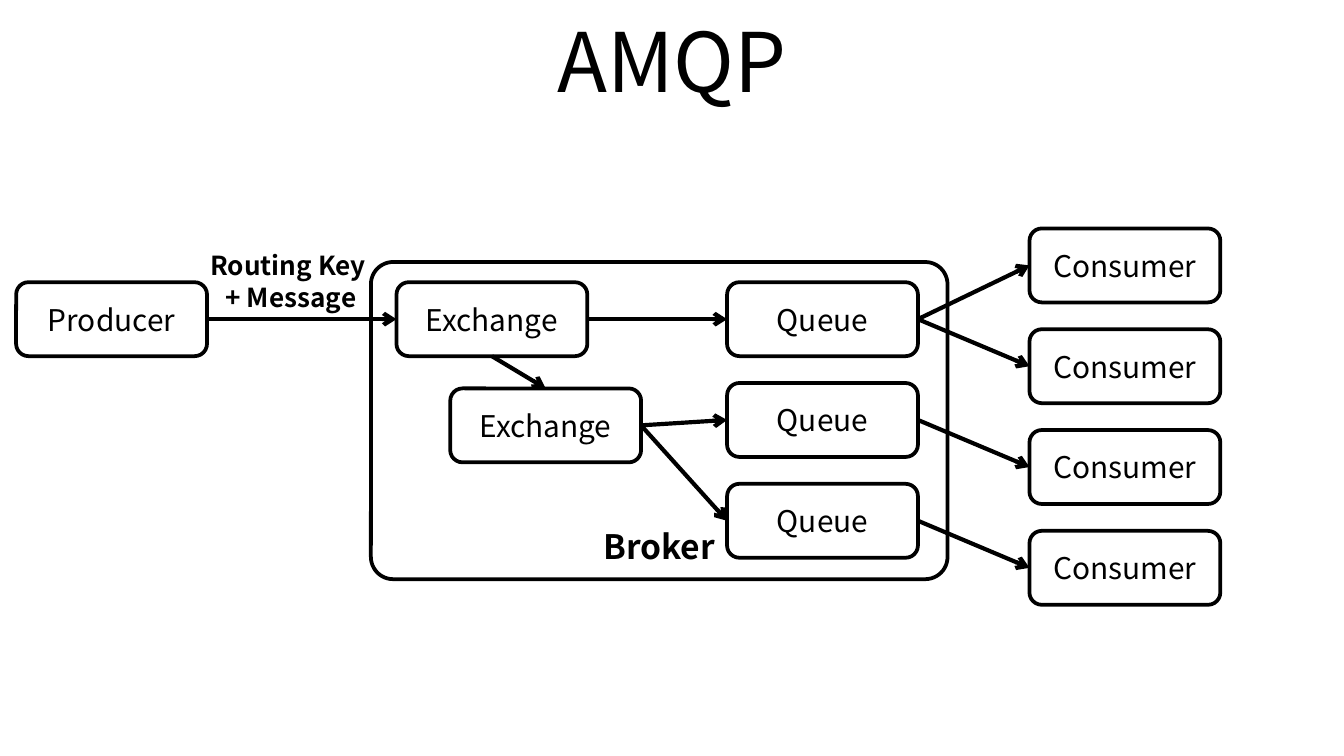
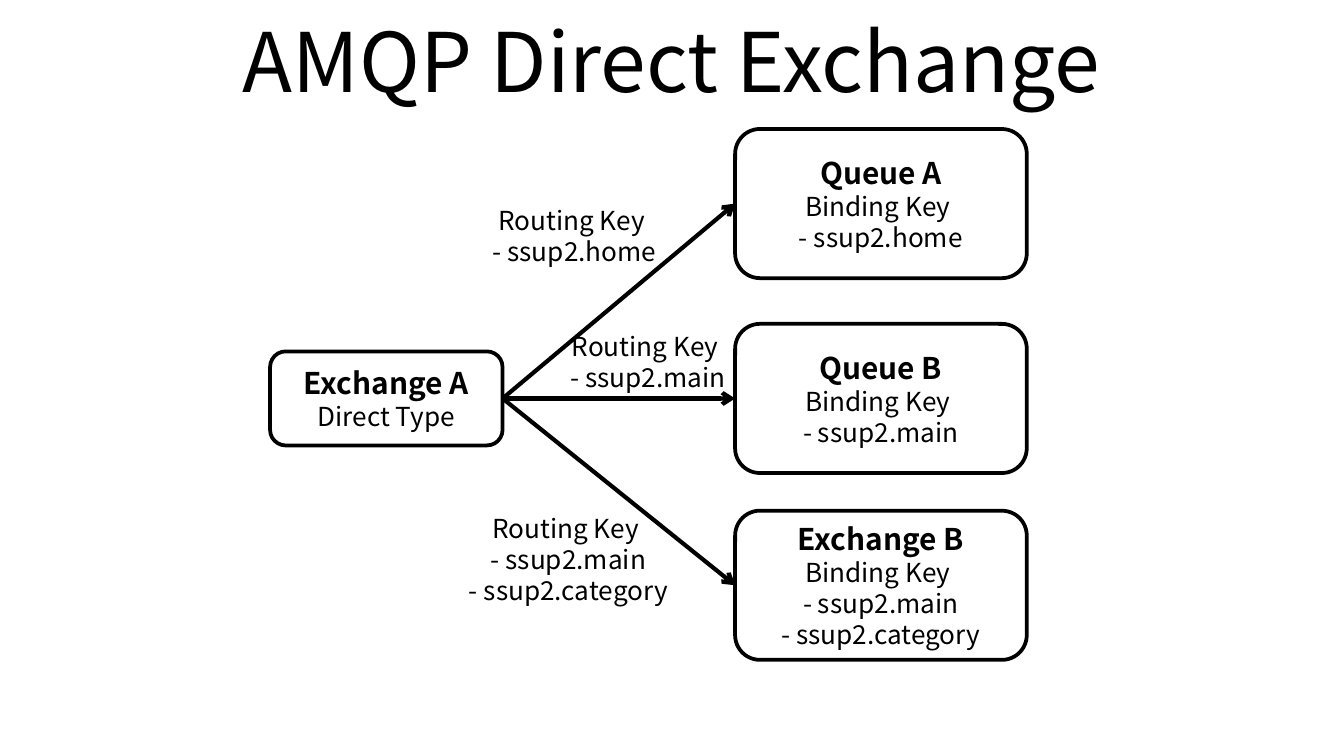
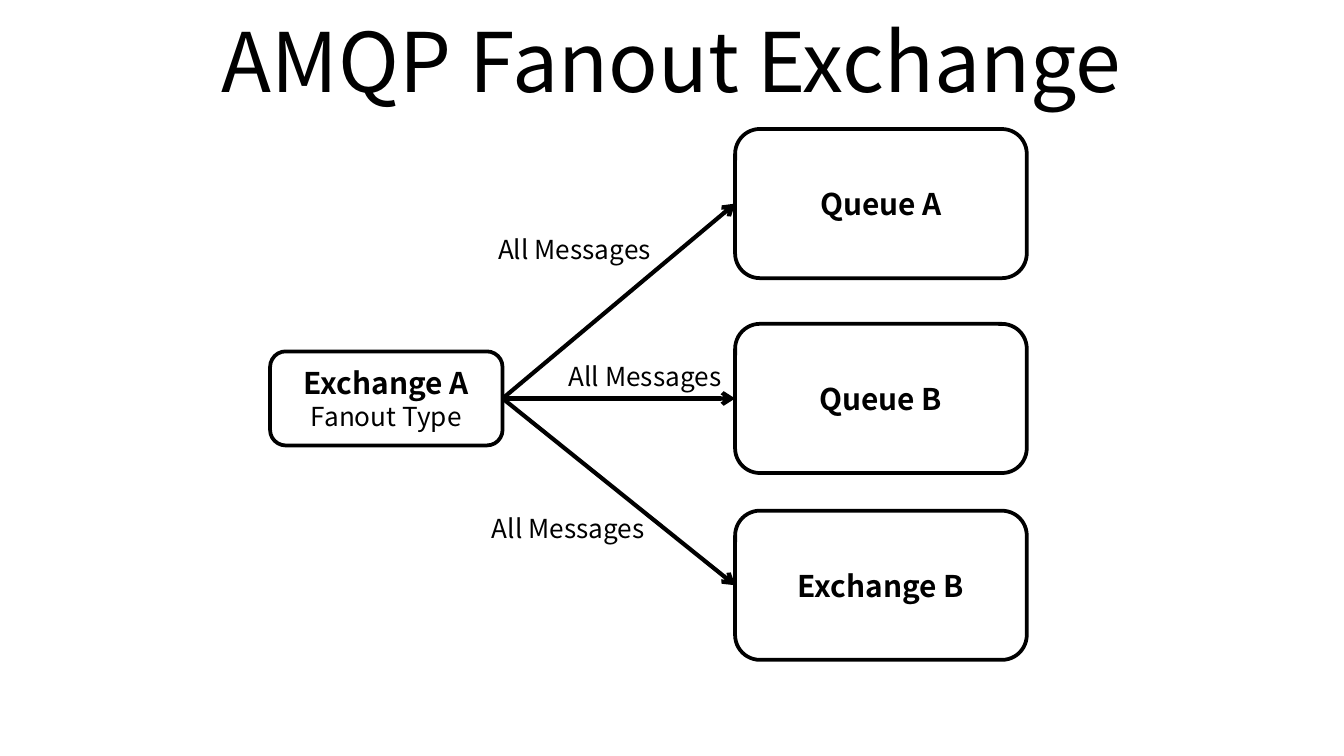
from lxml.etree import SubElement
from pptx import Presentation
from pptx.dml.color import RGBColor
from pptx.enum.shapes import MSO_CONNECTOR, MSO_SHAPE
from pptx.enum.text import MSO_ANCHOR, PP_ALIGN
from pptx.oxml.ns import qn
from pptx.util import Inches, Pt

FONT = "Noto Sans CJK KR"
BLACK = "000000"
WHITE = "FFFFFF"
TOP, LEFT, BOTTOM, RIGHT = range(4)  # connection sites of a rounded rectangle


def add_text(slide, position, lines, boxed=False, anchor=MSO_ANCHOR.MIDDLE, wrap=True):
    """Add centred (text, size, bold) lines, in a rounded box if boxed."""
    lengths = [Inches(value) for value in position]
    if boxed:
        shape = slide.shapes.add_shape(MSO_SHAPE.ROUNDED_RECTANGLE, *lengths)
        shape.shadow.inherit = False
        shape.fill.solid()
        shape.fill.fore_color.rgb = RGBColor.from_string(WHITE)
        shape.line.color.rgb = RGBColor.from_string(BLACK)
        shape.line.width = Pt(2)
    else:
        shape = slide.shapes.add_textbox(*lengths)
    frame = shape.text_frame
    frame.word_wrap = wrap
    frame.vertical_anchor = anchor
    for index, (text, size, bold) in enumerate(lines):
        paragraph = frame.add_paragraph() if index else frame.paragraphs[0]
        paragraph.alignment = PP_ALIGN.CENTER
        run = paragraph.add_run()
        run.text = text
        run.font.name = FONT
        run.font.size = Pt(size)
        run.font.bold = bold
        run.font.color.rgb = RGBColor.from_string(BLACK)
    return shape


def add_arrow(slide, source, target, source_site=RIGHT, target_site=LEFT):
    connector = slide.shapes.add_connector(MSO_CONNECTOR.STRAIGHT, 0, 0, 0, 0)
    connector.begin_connect(source, source_site)
    connector.end_connect(target, target_site)
    connector.line.color.rgb = RGBColor.from_string(BLACK)
    connector.line.width = Pt(2.25)
    SubElement(connector.line._get_or_add_ln(), qn("a:tailEnd")).set("type", "arrow")
    SubElement(connector._element.spPr, qn("a:effectLst"))


presentation = Presentation()
presentation.slide_width = Inches(10)
presentation.slide_height = presentation.slide_width * 9 // 16

slides = []
for title in ["AMQP", "AMQP Direct Exchange", "AMQP Fanout Exchange"]:
    slide = presentation.slides.add_slide(presentation.slide_layouts[6])
    add_text(slide, (0.5, -0.02, 9, 0.93), [(title, 44, False)])
    slides.append(slide)
overview, direct, fanout = slides

# Overview: producer, broker and consumers
broker = add_text(overview, (2.76, 1.95, 4.29, 2.36), [("Broker", 18, True)],
                  boxed=True, anchor=MSO_ANCHOR.BOTTOM)
broker.adjustments[0] = 0.07

ROW_STEP = 0.75
nodes = []
for name, left, top, count in [
    ("Producer", 0.12, 2.1, 1),
    ("Exchange", 2.95, 2.1, 1),
    ("Exchange", 3.35, 2.89, 1),
    ("Queue", 5.41, 2.1, 3),
    ("Consumer", 7.66, 1.7, 4),
]:
    nodes.append([
        add_text(overview, (left, top + row * ROW_STEP, 1.42, 0.55), [(name, 16, False)], boxed=True)
        for row in range(count)
    ])
[producer], [first_exchange], [second_exchange], queues, consumers = nodes

add_arrow(overview, producer, first_exchange)
add_arrow(overview, first_exchange, second_exchange, BOTTOM, TOP)
add_arrow(overview, first_exchange, queues[0])
for queue in queues[1:]:
    add_arrow(overview, second_exchange, queue)
for queue, consumer in zip([queues[0], *queues], consumers):
    add_arrow(overview, queue, consumer)
add_text(overview, (1.46, 1.81, 1.41, 0.57),
         [("Routing Key ", 14, True), ("+ Message", 14, True)],
         anchor=MSO_ANCHOR.TOP, wrap=False)

# Direct and fanout: one exchange feeding three targets
TARGET_TOPS = {"Queue A": 0.96, "Queue B": 2.41, "Exchange B": 3.8}
TARGET_HEIGHT = 1.11
EXCHANGE_HEIGHT = 0.7
exchange_top = TARGET_TOPS["Queue B"] + (TARGET_HEIGHT - EXCHANGE_HEIGHT) / 2

direct_bindings = {
    "Queue A": ["Binding Key ", "- ssup2.home"],
    "Queue B": ["Binding Key ", "- ssup2.main"],
    "Exchange B": ["Binding Key ", "- ssup2.main", "- ssup2.category"],
}
direct_labels = [
    (3.19, 1.47, 2.17, 0.57, ["Routing Key ", "- ssup2.home"]),
    (3.66, 2.41, 2.28, 0.57, ["Routing Key", " - ssup2.main"]),
    (2.8, 3.76, 2.86, 0.81, ["Routing Key ", "- ssup2.main", "- ssup2.category"]),
]
fanout_labels = [
    (left, top, width, 0.34, ["All Messages"])
    for left, top, width in [(3.19, 1.69, 2.17), (3.66, 2.63, 2.28), (2.8, 3.76, 2.86)]
]

for slide, exchange_type, bindings, labels in [
    (direct, "Direct Type", direct_bindings, direct_labels),
    (fanout, "Fanout Type", {}, fanout_labels),
]:
    exchange = add_text(slide, (2.01, exchange_top, 1.73, EXCHANGE_HEIGHT),
                        [("Exchange A", 16, True), (exchange_type, 14, False)], boxed=True)
    for name, top in TARGET_TOPS.items():
        lines = [(name, 16, True)] + [(text, 14, False) for text in bindings.get(name, [])]
        target = add_text(slide, (5.47, top, 2.17, TARGET_HEIGHT), lines, boxed=True)
        add_arrow(slide, exchange, target)
    for *position, texts in labels:
        add_text(slide, position, [(text, 14, False) for text in texts], anchor=MSO_ANCHOR.TOP)

presentation.save("out.pptx")
